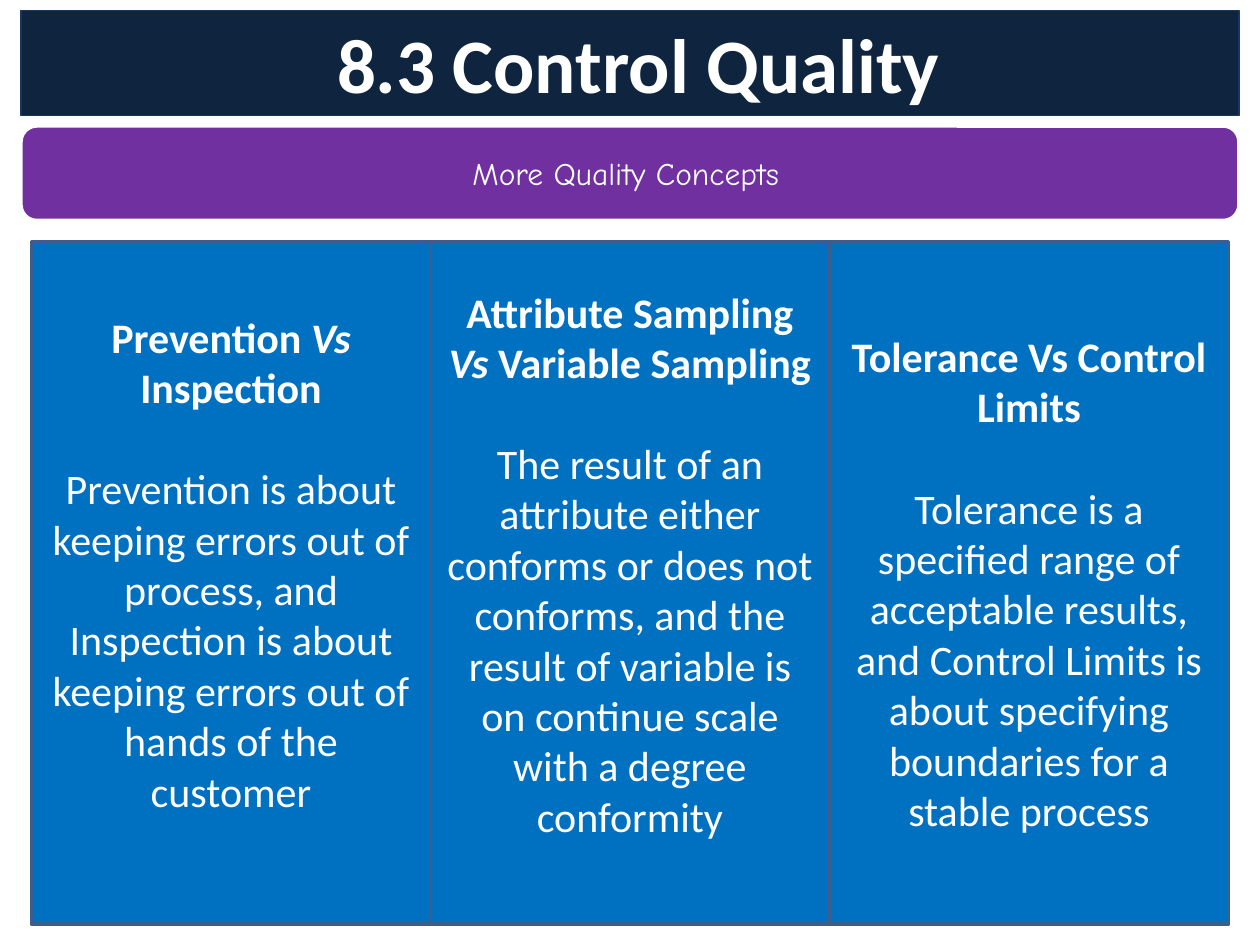
from pptx import Presentation
from pptx.dml.color import RGBColor
from pptx.enum import shapes, text
from pptx.util import Pt

COLORS = {
    "white": "FFFFFF",
    "navy": "0F243E",
    "navy_edge": "17375E",
    "purple": "7030A0",
    "blue": "0070C0",
    "blue_edge": "3A5F8C",
}

# Each concept: heading as (text, italic) spans, explanation, bottom inset
CONCEPTS = [
    ([("Prevention", False), (" Vs ", True), ("Inspection", False)],
     "Prevention is about keeping errors out of process, and "
     "Inspection is about keeping errors out of hands of the customer", 25.6),
    ([("Attribute Sampling ", False), ("Vs", True), (" Variable Sampling", False)],
     "The result of an attribute either conforms or does not conforms, and the "
     "result of variable is on continue scale with a degree conformity", 25.6),
    ([("Tolerance Vs Control Limits", False)],
     "Tolerance is a specified range of acceptable results, and Control Limits "
     "is about specifying boundaries for a stable process", 3.6),
]


def color(name):
    return RGBColor.from_string(COLORS[name])


def add_box(page, kind, left, top, width, height, fill, line, weight):
    box = page.shapes.add_shape(kind, Pt(left), Pt(top), Pt(width), Pt(height))
    box.shadow.inherit = False
    box.fill.solid()
    box.fill.fore_color.rgb = color(fill)
    box.line.color.rgb = color(line)
    box.line.width = Pt(weight)
    box.text_frame.word_wrap = True
    box.text_frame.vertical_anchor = text.MSO_ANCHOR.MIDDLE
    return box


def add_span(para, words, size=24, font="Calibri", bold=False, italic=False):
    para.alignment = text.PP_ALIGN.CENTER
    span = para.add_run()
    span.text = words
    span.font.size = Pt(size)
    span.font.name = font
    span.font.bold = bold
    span.font.italic = italic
    span.font.color.rgb = color("white")


def add_concept(page, left, width, heading, explanation, bottom_inset):
    box = add_box(page, shapes.MSO_SHAPE.RECTANGLE, left, 138, width, 390,
                  "blue", "blue_edge", 2)
    frame = box.text_frame
    frame.margin_bottom = Pt(bottom_inset)
    for words, italic in heading:
        add_span(frame.paragraphs[0], words, bold=True, italic=italic)
    para = frame.add_paragraph()
    para.space_before = Pt(29)
    add_span(para, explanation)


def main():
    deck = Presentation()
    deck.slide_width, deck.slide_height = Pt(720), Pt(540)
    page = deck.slides.add_slide(deck.slide_layouts[6])

    # Title bar
    title = add_box(page, shapes.MSO_SHAPE.RECTANGLE, 12, 6, 696, 60,
                    "navy", "navy_edge", 0.75)
    title.text_frame.margin_left = Pt(17)
    add_span(title.text_frame.paragraphs[0], "8.3 Control Quality", size=44, bold=True)

    # Subtitle banner
    banner = add_box(page, shapes.MSO_SHAPE.ROUNDED_RECTANGLE, 12, 72, 696, 54,
                     "purple", "white", 2)
    banner.text_frame.margin_right = Pt(12)
    add_span(banner.text_frame.paragraphs[0], "More Quality Concepts",
             size=18, font="Comic Neue")

    # Three adjoining concept columns
    column_width = 228
    for index, (heading, explanation, bottom_inset) in enumerate(CONCEPTS):
        add_concept(page, 18 + index * column_width, column_width,
                    heading, explanation, bottom_inset)

    deck.save("out.pptx")


if __name__ == "__main__":
    main()
